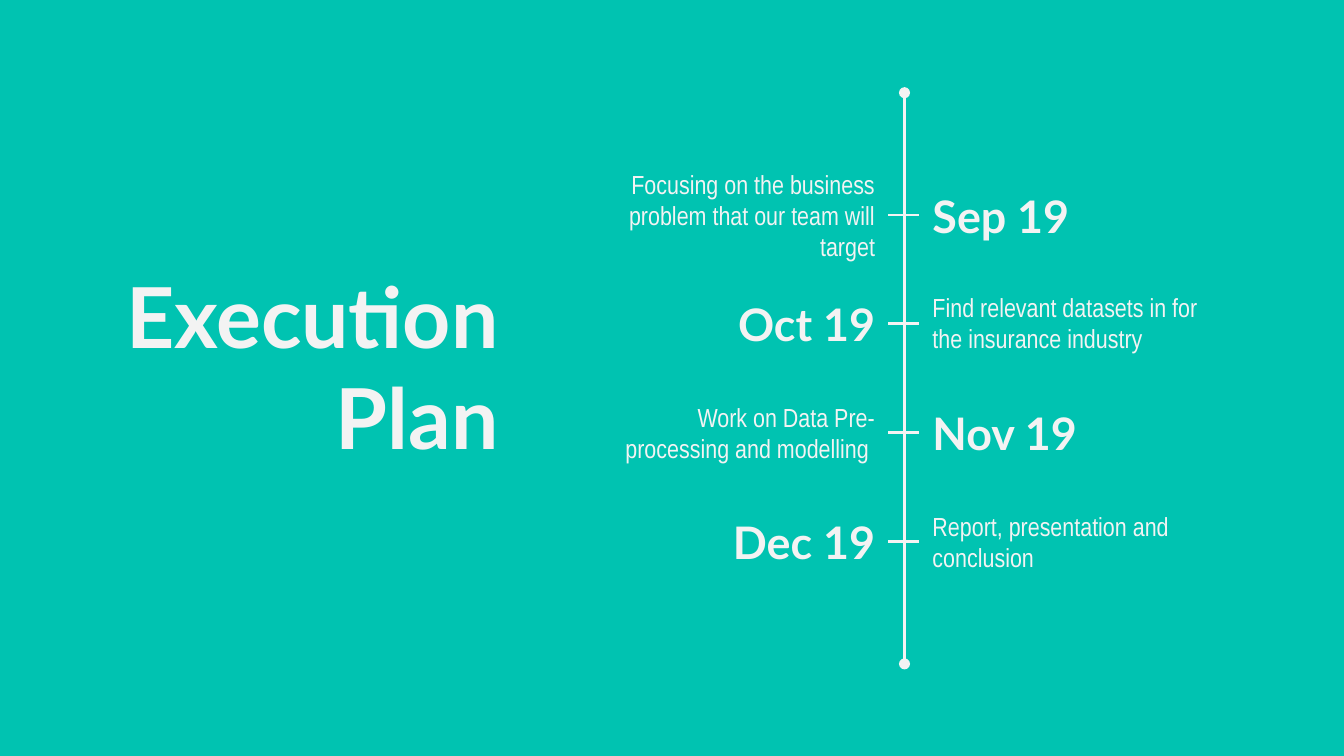
from lxml import etree
from pptx import Presentation
from pptx.dml.color import RGBColor
from pptx.enum.shapes import MSO_CONNECTOR
from pptx.enum.text import MSO_ANCHOR, MSO_AUTO_SIZE, PP_ALIGN
from pptx.oxml.ns import qn
from pptx.util import Inches, Pt

COLORS = {"background": "00C3B1", "ink": "F3F3F3"}
HEADING_FONT = "Lato"
BODY_FONT = "Arial Narrow"

SLIDE_WIDTH = 10
SLIDE_HEIGHT = SLIDE_WIDTH * 9 / 16

AXIS_X, AXIS_TOP, AXIS_BOTTOM = 6.73, 0.69, 4.94
FIRST_TICK_Y, MONTH_STEP = 1.6, 0.81
TICK_LEFT, TICK_RIGHT = 6.61, 6.84
ENTRY_WIDTH, ENTRY_HEIGHT = 2.26, 0.69

# Month, task, and vertical anchor of the task
MILESTONES = [
    ("Sep 19", "Focusing on the business problem that our team will target", MSO_ANCHOR.MIDDLE),
    ("Oct 19", "Find relevant datasets in for the insurance industry", MSO_ANCHOR.TOP),
    ("Nov 19", "Work on Data Pre-processing and modelling ", MSO_ANCHOR.MIDDLE),
    ("Dec 19", "Report, presentation and conclusion", MSO_ANCHOR.MIDDLE),
]


def write_text(frame, text, font=BODY_FONT, size=14, bold=False,
               align=PP_ALIGN.LEFT, anchor=MSO_ANCHOR.MIDDLE):
    frame.word_wrap = True
    frame.auto_size = MSO_AUTO_SIZE.NONE
    frame.vertical_anchor = anchor
    frame.margin_left = frame.margin_right = Inches(0.1)
    frame.margin_top = frame.margin_bottom = Inches(0.1)
    paragraph = frame.paragraphs[0]
    paragraph.alignment = align
    run = paragraph.add_run()
    run.text = text
    run.font.name = font
    run.font.size = Pt(size)
    run.font.bold = bold
    run.font.color.rgb = RGBColor.from_string(COLORS["ink"])


def add_title(slide, text):
    title = slide.shapes.title
    title.left, title.top = Inches(0.79), Inches(1.87)
    title.width, title.height = Inches(3.02), Inches(1.89)
    write_text(title.text_frame, text, font=HEADING_FONT, size=45, bold=True,
               align=PP_ALIGN.RIGHT, anchor=MSO_ANCHOR.TOP)


def add_line(slide, x1, y1, x2, y2, round_ends=False):
    line = slide.shapes.add_connector(
        MSO_CONNECTOR.STRAIGHT, Inches(x1), Inches(y1), Inches(x2), Inches(y2))
    line.line.color.rgb = RGBColor.from_string(COLORS["ink"])
    line.line.width = Pt(1.5)
    properties = line._element.spPr
    if round_ends:
        outline = properties.find(qn("a:ln"))
        for end in ("a:headEnd", "a:tailEnd"):
            etree.SubElement(outline, qn(end), type="oval", w="med", len="med")
    etree.SubElement(properties, qn("a:effectLst"))


def add_entry(slide, text, tick_y, on_left, **text_format):
    """Place text beside the axis, aligned towards it."""
    left = TICK_LEFT - ENTRY_WIDTH if on_left else TICK_RIGHT
    entry = slide.shapes.add_textbox(
        Inches(left), Inches(tick_y - ENTRY_HEIGHT / 2),
        Inches(ENTRY_WIDTH), Inches(ENTRY_HEIGHT))
    align = PP_ALIGN.RIGHT if on_left else PP_ALIGN.LEFT
    write_text(entry.text_frame, text, align=align, **text_format)


def add_timeline(slide):
    add_line(slide, AXIS_X, AXIS_TOP, AXIS_X, AXIS_BOTTOM, round_ends=True)
    for index, (month, task, task_anchor) in enumerate(MILESTONES):
        tick_y = FIRST_TICK_Y + index * MONTH_STEP
        task_on_left = index % 2 == 0
        add_entry(slide, task, tick_y, task_on_left, anchor=task_anchor)
        add_entry(slide, month, tick_y, not task_on_left,
                  font=HEADING_FONT, size=24, bold=True)
        add_line(slide, TICK_LEFT, tick_y, TICK_RIGHT, tick_y)


def main():
    presentation = Presentation()
    presentation.slide_width = Inches(SLIDE_WIDTH)
    presentation.slide_height = Inches(SLIDE_HEIGHT)
    slide = presentation.slides.add_slide(
        presentation.slide_layouts.get_by_name("Title Only"))
    fill = slide.background.fill
    fill.solid()
    fill.fore_color.rgb = RGBColor.from_string(COLORS["background"])
    add_title(slide, "Execution Plan")
    add_timeline(slide)
    presentation.save("out.pptx")


if __name__ == "__main__":
    main()
